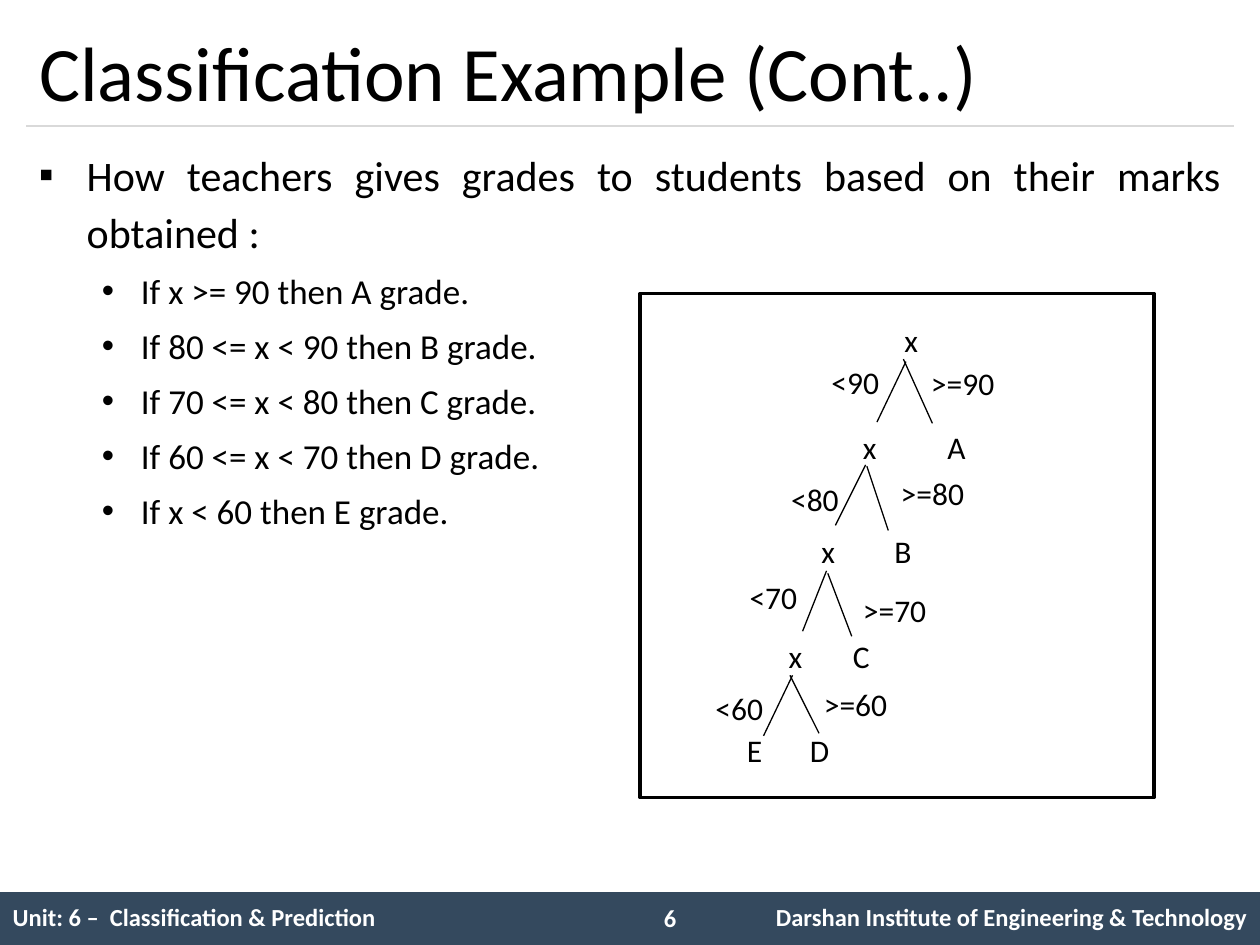
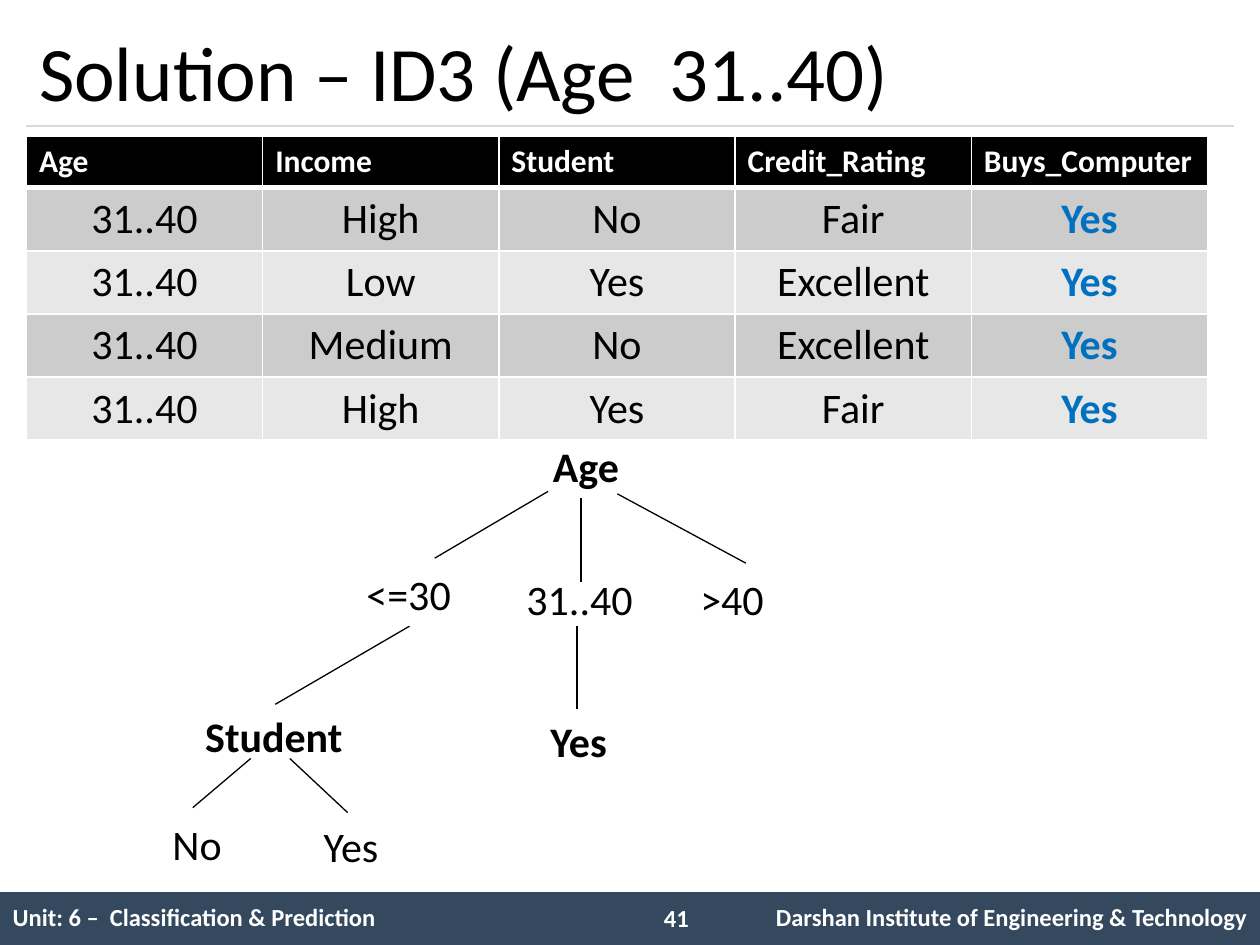
import pptx
import pptx.util
import pptx.dml.color
import pptx.enum.shapes
import pptx.enum.text
import pptx.oxml
import pptx.oxml.ns
from lxml import etree

Inches = pptx.util.Inches
ALIGN = pptx.enum.text.PP_ALIGN
ANCHOR = pptx.enum.text.MSO_ANCHOR
FONT = "Calibri"
BLACK, WHITE, BAND, RULE, ANSWER = "000000", "FFFFFF", "34495E", "D9D9D9", "0070C0"
ROW_FILLS = ("CCCCCC", "E7E7E7")


def rgb(value):
    return pptx.dml.color.RGBColor.from_string(value)


def sub_element(parent, tag, **attributes):
    return etree.SubElement(parent, pptx.oxml.ns.qn(tag), attributes)


def write_text(paragraph, text, size=18, color=BLACK, bold=False, align=ALIGN.LEFT):
    run = paragraph.add_run()
    run.text = text
    run.font.name = FONT
    run.font.size = pptx.util.Pt(size)
    run.font.bold = bold
    run.font.color.rgb = rgb(color)
    paragraph.alignment = align


def add_label(slide, text, left, top, width, height, **text_format):
    label = slide.shapes.add_textbox(*map(Inches, (left, top, width, height)))
    label.text_frame.word_wrap = True
    label.text_frame.auto_size = pptx.enum.text.MSO_AUTO_SIZE.SHAPE_TO_FIT_TEXT
    write_text(label.text_frame.paragraphs[0], text, **text_format)
    return label


def add_line(slide, start, end, width=0.75, color=BLACK, end_label=None):
    line = slide.shapes.add_connector(
        pptx.enum.shapes.MSO_CONNECTOR.STRAIGHT, *map(Inches, (*start, *end)))
    line.line.color.rgb = rgb(color)
    line.line.width = pptx.util.Pt(width)
    sub_element(line._element.spPr, "a:effectLst")
    if end_label is not None:
        line.end_connect(end_label, 0)


def add_rectangle(slide, left, top, width, height, fill, outline=None):
    rectangle = slide.shapes.add_shape(
        pptx.enum.shapes.MSO_SHAPE.RECTANGLE, *map(Inches, (left, top, width, height)))
    rectangle.shadow.inherit = False
    rectangle.fill.solid()
    rectangle.fill.fore_color.rgb = rgb(fill)
    if outline:
        rectangle.line.color.rgb = rgb(outline)
        rectangle.line.width = pptx.util.Pt(2)
    else:
        rectangle.line.fill.background()


def add_grid(slide, left, top, widths, heights):
    grid = slide.shapes.add_table(
        len(heights), len(widths),
        *map(Inches, (left, top, sum(widths), sum(heights)))).table
    for column, width in zip(grid.columns, widths):
        column.width = Inches(width)
    for row, height in zip(grid.rows, heights):
        row.height = Inches(height)
    return grid


def format_cell(cell, fill=None, border=None, bottom=1):
    properties = cell._tc.get_or_add_tcPr()
    for side in "LRTB":
        points = bottom if side == "B" else 1
        edge = sub_element(properties, f"a:ln{side}", w=str(pptx.util.Pt(points)))
        if border:
            sub_element(sub_element(edge, "a:solidFill"), "a:srgbClr", val=border)
        else:
            sub_element(edge, "a:noFill")
    if fill:
        cell.fill.solid()
        cell.fill.fore_color.rgb = rgb(fill)
    else:
        cell.fill.background()


def add_footer(slide, number):
    add_rectangle(slide, 0, 7.08, 10, 0.42, BAND)
    footer = add_grid(slide, 0, 7.08, (5.08, 0.67, 4.25), (0.42,))
    footer.first_row = footer.horz_banding = False
    entries = (("Unit: 6 –  Classification & Prediction", ALIGN.LEFT),
               ("", ALIGN.LEFT),
               ("Darshan Institute of Engineering & Technology", ALIGN.RIGHT))
    for cell, (text, align) in zip(footer.rows[0].cells, entries):
        format_cell(cell)
        cell.vertical_anchor = ANCHOR.MIDDLE
        if text:
            write_text(cell.text_frame.paragraphs[0], text, size=14,
                       color=WHITE, bold=True, align=align)
    add_label(slide, str(number), 5.17, 7.12, 0.58, 0.34,
              size=14, color=WHITE, bold=True)


def add_titled_slide(deck, title, number):
    slide = deck.slides.add_slide(deck.slide_layouts[5])
    heading = slide.shapes.title
    heading.left, heading.top, heading.width, heading.height = map(
        Inches, (0.21, 0.12, 9.58, 0.88))
    heading.text_frame.vertical_anchor = ANCHOR.MIDDLE
    write_text(heading.text_frame.paragraphs[0], title, size=44)
    add_line(slide, (0.21, 1), (9.79, 1), color=RULE)
    add_footer(slide, number)
    return slide


def add_bullet(paragraph, text, mark, indent, hang, size, align, space_before):
    properties = paragraph._p.get_or_add_pPr()
    properties.set("marL", str(Inches(indent)))
    properties.set("indent", str(-Inches(hang)))
    sub_element(properties, "a:buFont", typeface="Arial")
    sub_element(properties, "a:buChar", char=mark)
    paragraph.line_spacing = 1.14
    paragraph.space_before = pptx.util.Pt(space_before)
    write_text(paragraph, text, size=size, align=align)


def add_grade_rules(slide):
    frame = slide.shapes.add_textbox(
        *map(Inches, (0.21, 1.08, 9.58, 5.83))).text_frame
    frame.word_wrap = True
    add_bullet(frame.paragraphs[0],
               "How teachers gives grades to students based on their marks obtained :",
               "▪", 0.38, 0.38, 24, ALIGN.JUSTIFY, 0)
    for rule in ("If x >= 90 then A grade.", "If 80 <= x < 90 then B grade.",
                 "If 70 <= x < 80 then C grade.", "If 60 <= x < 70 then D grade.",
                 "If x < 60 then E grade."):
        paragraph = frame.add_paragraph()
        paragraph.level = 1
        add_bullet(paragraph, rule, "•", 0.81, 0.31, 20, ALIGN.LEFT, 4)


def add_grade_tree(slide):
    add_rectangle(slide, 5.08, 2.33, 4.08, 4, WHITE, BLACK)
    levels = (
        (90, "A", (7.08, 2.5), (6.5, 2.83), (7.29, 2.84), (7.42, 3.35),
         (7.19, 2.87), (7.17, 2.85), (7.4, 3.36)),
        (80, "B", (6.75, 3.35), (6.18, 3.76), (7.05, 3.71), (7, 4.17),
         (6.87, 3.69), (6.88, 3.7), (7.05, 4.21)),
        (70, "C", (6.42, 4.17), (5.85, 4.54), (6.75, 4.64), (6.67, 5.01),
         (6.56, 4.53), (6.57, 4.55), (6.76, 5.05)),
        (60, "D", (6.16, 5.01), (5.58, 5.42), (6.44, 5.39), (6.33, 5.75),
         (6.29, 5.36), (6.27, 5.36), (6.5, 5.82)),
    )
    lower_start = None
    for mark, grade, node, below, above, leaf, left_start, right_start, right_end in levels:
        test = add_label(slide, "x", *node, 0.42, 0.4)
        if lower_start:
            add_line(slide, lower_start, node, end_label=test)
        add_label(slide, f"<{mark}", *below, 0.58, 0.4)
        add_label(slide, f">={mark}", *above, 0.79, 0.4)
        add_label(slide, grade, *leaf, 0.42, 0.4)
        add_line(slide, right_start, right_end)
        lower_start = left_start
    add_label(slide, "E", 5.83, 5.75, 0.42, 0.4)
    add_line(slide, lower_start, (6.06, 5.84))


def add_age_table(slide):
    header = ("Age", "Income", "Student", "Credit_Rating", "Buys_Computer")
    records = (("31..40", "High", "No", "Fair", "Yes"),
               ("31..40", "Low", "Yes", "Excellent", "Yes"),
               ("31..40", "Medium", "No", "Excellent", "Yes"),
               ("31..40", "High", "Yes", "Fair", "Yes"))
    grid = add_grid(slide, 0.21, 1.08, [1.875] * len(header),
                    [0.41] * (len(records) + 1))
    for cell, text in zip(grid.rows[0].cells, header):
        format_cell(cell, BLACK, WHITE, bottom=3)
        write_text(cell.text_frame.paragraphs[0], text, color=WHITE, bold=True)
    for index, record in enumerate(records):
        for column, text in enumerate(record):
            cell = grid.cell(index + 1, column)
            decision = column == len(header) - 1
            format_cell(cell, ROW_FILLS[index % 2], WHITE)
            write_text(cell.text_frame.paragraphs[0], text, size=24, bold=decision,
                       color=ANSWER if decision else BLACK, align=ALIGN.CENTER)


def add_age_tree(slide):
    for text, left, top, width, bold in (
            ("Age", 4.29, 3.45, 1.17, True), ("<=30", 2.81, 4.46, 0.98, False),
            ("31..40", 4.08, 4.5, 1.17, False), (">40", 5.46, 4.5, 0.87, False),
            ("No", 1.27, 6.45, 0.98, False), ("Yes", 2.47, 6.46, 1.06, False),
            ("Yes", 4.27, 5.63, 0.98, True)):
        add_label(slide, text, left, top, width, 0.5, size=24, bold=bold)
    student = add_label(slide, "Student", 1.53, 5.59, 1.31, 0.5, size=24, bold=True)
    add_line(slide, (3.25, 4.97), (2.19, 5.59), end_label=student)
    for start, end, width in (
            ((4.35, 3.9), (3.45, 4.43), 0.75), ((4.9, 3.92), (5.92, 4.47), 0.75),
            ((4.61, 3.95), (4.61, 4.62), 1), ((4.58, 4.97), (4.58, 5.63), 1),
            ((1.99, 6.02), (1.53, 6.41), 0.75), ((2.3, 6.02), (2.76, 6.45), 0.75)):
        add_line(slide, start, end, width)


def main():
    deck = pptx.Presentation()
    deck.slide_width, deck.slide_height = Inches(10), Inches(7.5)

    grades = add_titled_slide(deck, "Classification Example (Cont..)", 6)
    add_grade_rules(grades)
    add_grade_tree(grades)

    solution = add_titled_slide(deck, "Solution – ID3 (Age  31..40)", 41)
    add_age_table(solution)
    add_age_tree(solution)

    deck.save("out.pptx")


if __name__ == "__main__":
    main()
